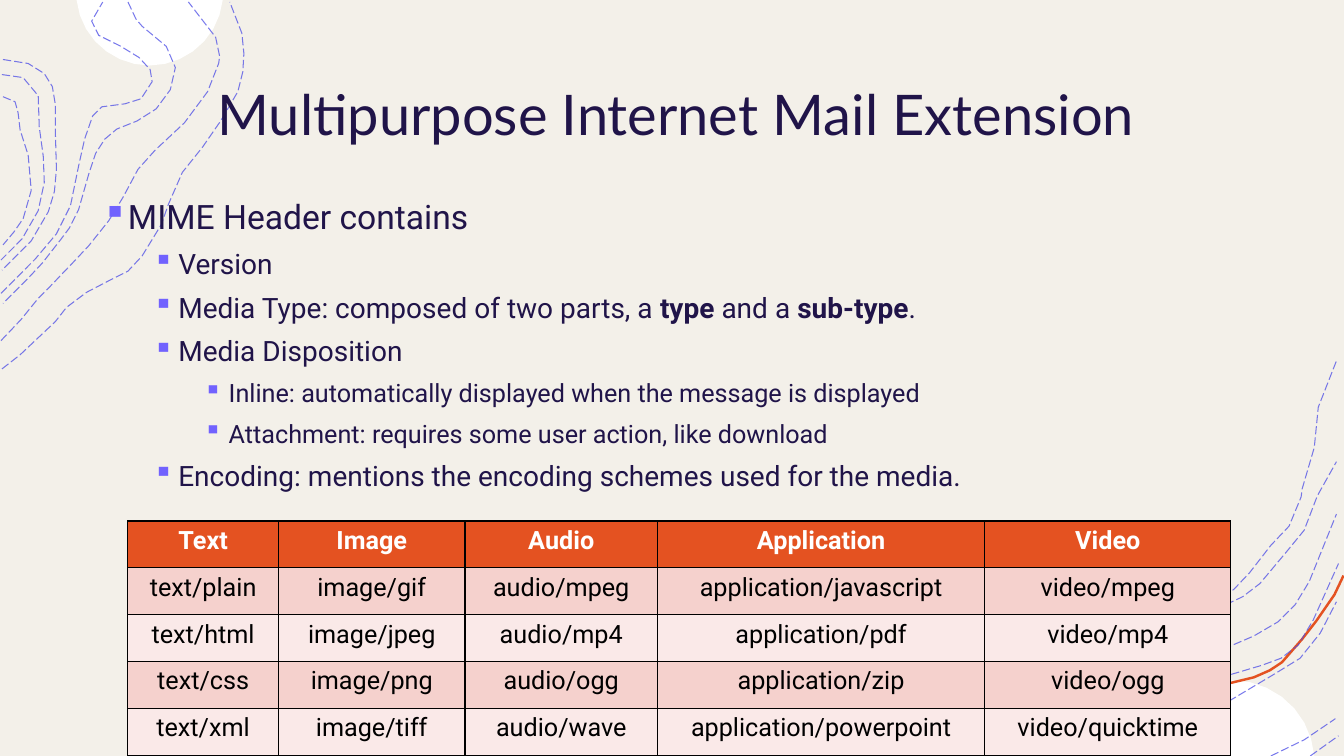
from math import asin, cos, sin

from lxml.etree import SubElement
from pptx import Presentation
from pptx.dml.color import RGBColor
from pptx.enum.dml import MSO_LINE
from pptx.enum.text import MSO_ANCHOR as Anchor, PP_ALIGN as Align
from pptx.oxml.ns import qn
from pptx.util import Cm, Pt

INK, VIOLET, CONTOUR = "201449", "7162FE", "4D4EE6"
ORANGE, WHITE, BLACK, CREAM = "E45221", "FFFFFF", "000000", "F3F0E9"
BANDS = ["F5D1CD", "FAE9E8"]

# Contour points in hundredths of an inch
LEFT_CONTOURS = [
    [(2, 366), (20, 352), (55, 319), (66, 305), (86, 290), (111, 277), (127, 269),
     (141, 254), (160, 223), (167, 203), (181, 171), (201, 146), (219, 120),
     (236, 91), (241, 71), (242, 53), (240, 33), (228, 2)],
    [(1, 338), (21, 317), (38, 296), (50, 284), (73, 260), (88, 244), (108, 219),
     (122, 196), (137, 168), (154, 149), (183, 122), (206, 91), (217, 63),
     (218, 56), (214, 37), (187, 2)],
    [(127, 2), (135, 19), (141, 26), (165, 46), (174, 67), (169, 89), (155, 108),
     (136, 120), (116, 128), (104, 138), (95, 152), (88, 173), (78, 208),
     (69, 226), (60, 238), (42, 261), (28, 276), (3, 301)],
    [(1, 291), (35, 257), (56, 232), (70, 204), (78, 165), (84, 138), (92, 115),
     (101, 106), (124, 103), (140, 98), (151, 81), (149, 69), (138, 57),
     (120, 46), (98, 35), (91, 21), (102, 2)],
    [(3, 59), (28, 63), (44, 73), (52, 86), (55, 104), (55, 132), (56, 168),
     (54, 190), (48, 210), (31, 239), (2, 268)],
    [(2, 74), (23, 77), (38, 95), (39, 126), (43, 155), (44, 181), (38, 209),
     (22, 237), (1, 258)],
    [(3, 96), (15, 101), (18, 112), (20, 129), (28, 154), (31, 189), (23, 217),
     (14, 230), (3, 243)],
]
RIGHT_CONTOURS = [
    [(942, 748), (971, 713), (1002, 680), (1056, 643), (1098, 625), (1137, 629),
     (1173, 606), (1224, 585), (1240, 568), (1261, 541), (1279, 522), (1291, 493),
     (1292, 485), (1304, 444), (1308, 404), (1326, 358)],
    [(969, 750), (1008, 694), (1049, 662), (1103, 638), (1145, 641), (1195, 610),
     (1233, 592), (1250, 579), (1276, 548), (1294, 526), (1307, 492), (1326, 458)],
    [(1300, 750), (1328, 730)],
    [(1261, 750), (1294, 734), (1325, 713)],
    [(1043, 748), (1084, 714), (1145, 699), (1188, 703), (1217, 697), (1264, 669),
     (1290, 653), (1310, 628), (1326, 597)],
    [(1019, 750), (1072, 701), (1149, 685), (1215, 671), (1252, 660), (1271, 653),
     (1288, 640), (1303, 615), (1328, 559)],
    [(999, 750), (1042, 700), (1100, 675), (1184, 658), (1216, 643), (1244, 631),
     (1268, 617), (1285, 600), (1299, 577), (1326, 510)],
]
ORANGE_WAVE = [(875, 750), (925, 726), (982, 715), (1065, 707), (1144, 695),
               (1215, 679), (1244, 672), (1260, 665), (1272, 657), (1292, 634),
               (1306, 616), (1324, 590), (1333, 571)]

BULLETS = [
    (0, ["MIME Header contains"]),
    (1, ["Version"]),
    (1, ["Media Type: composed of two parts, a ", "type", " and a ", "sub-type", "."]),
    (1, ["Media Disposition"]),
    (2, ["Inline: automatically displayed when the message is displayed"]),
    (2, ["Attachment: requires some user action, like download"]),
    (1, ["Encoding: mentions the encoding schemes used for the media."]),
]
LEVEL_SIZES = [24, 20, 18]

MEDIA_TYPES = {
    "Text": ["plain", "html", "css", "xml"],
    "Image": ["gif", "jpeg", "png", "tiff"],
    "Audio": ["mpeg", "mp4", "ogg", "wave"],
    "Application": ["javascript", "pdf", "zip", "powerpoint"],
    "Video": ["mpeg", "mp4", "ogg", "quicktime"],
}
COLUMN_WIDTHS = [3.8, 4.7, 4.85, 8.25, 6.2]


def rgb(value):
    return RGBColor.from_string(value)


def paint(fill, color):
    fill.solid()
    fill.fore_color.rgb = rgb(color)


def add_run(paragraph, text, color=INK, **formats):
    run = paragraph.add_run()
    run.text = text
    run.font.color.rgb = rgb(color)
    for attribute, value in formats.items():
        setattr(run.font, attribute, value)


def add_outline(slide, points, close):
    fine = [(x * 10, y * 10) for x, y in points]
    builder = slide.shapes.build_freeform(*fine[0], scale=Cm(2.54) / 1000)
    builder.add_line_segments(fine[1:], close=close)
    outline = builder.convert_to_shape()
    outline.shadow.inherit = False
    return outline


def add_wave(slide, points, color, width):
    wave = add_outline(slide, points, close=False)
    wave.fill.background()
    wave.line.color.rgb = rgb(color)
    wave.line.width = Pt(width)
    return wave


def add_contour(slide, points):
    contour = add_wave(slide, points, CONTOUR, 0.75)
    contour.line.dash_style = MSO_LINE.LONG_DASH
    color = next(contour.line._ln.iter(qn("a:srgbClr")))
    SubElement(color, qn("a:alpha"), val="75000")


def add_dome(slide, center_x, edge_y, half_width, depth, direction):
    """Part of a disc that is cut off by a slide edge."""
    radius = (half_width ** 2 + depth ** 2) / (2 * depth)
    center_y = edge_y + direction * (depth - radius)
    reach = asin(half_width / radius)
    angles = [reach * (i / 7 - 1) for i in range(15)]
    dome = add_outline(slide, [(center_x + radius * sin(angle),
                                center_y + direction * radius * cos(angle))
                               for angle in angles], close=True)
    paint(dome.fill, WHITE)
    dome.line.fill.background()


def add_title(slide, text):
    title = slide.shapes.title
    place = dict(left=Cm(0), top=Cm(1.02), width=Cm(34.06), height=Cm(3.68))
    for attribute, value in place.items():
        setattr(title, attribute, value)
    frame = title.text_frame
    frame.vertical_anchor = Anchor.MIDDLE
    frame.paragraphs[0].alignment = Align.CENTER
    add_run(frame.paragraphs[0], text, name="Lato", size=Pt(40))
    # Bring the title in front of the decoration
    slide.shapes._spTree.append(title._element)


def add_bullets(slide):
    frame = slide.shapes.add_textbox(Cm(2.34), Cm(4.7), Cm(29.2), Cm(8.4)).text_frame
    frame.word_wrap = True
    for index, (level, pieces) in enumerate(BULLETS):
        item = frame.paragraphs[0] if index == 0 else frame.add_paragraph()
        properties = item._p.get_or_add_pPr()
        properties.set("marL", str(Cm(0.635 + 1.27 * level)))
        properties.set("indent", str(-Cm(0.635)))
        bullet_color = SubElement(properties, qn("a:buClr"))
        SubElement(bullet_color, qn("a:srgbClr"), val=VIOLET)
        SubElement(properties, qn("a:buChar"), char="▪")
        item.level = level
        item.line_spacing = 1.1
        if index:
            item.space_before = Pt(5)
        for position, piece in enumerate(pieces):
            add_run(item, piece, name="Roboto", size=Pt(LEVEL_SIZES[level]),
                    bold=position % 2 == 1)


def add_borders(cell):
    properties = cell._tc.get_or_add_tcPr()
    for side in ["lnL", "lnR", "lnT", "lnB"]:
        border = SubElement(properties, qn(f"a:{side}"), w=str(Pt(1)))
        fill = SubElement(border, qn("a:solidFill"))
        SubElement(fill, qn("a:srgbClr"), val=BLACK)


def add_media_table(slide):
    rows = 1 + len(MEDIA_TYPES["Text"])
    table = slide.shapes.add_table(rows, len(MEDIA_TYPES), Cm(3.22), Cm(13.13),
                                   Cm(sum(COLUMN_WIDTHS)), Cm(1.18 * rows)).table
    for column, (family, subtypes) in enumerate(MEDIA_TYPES.items()):
        table.columns[column].width = Cm(COLUMN_WIDTHS[column])
        labels = [family] + [f"{family.lower()}/{subtype}" for subtype in subtypes]
        for row, label in enumerate(labels):
            header = row == 0
            cell = table.cell(row, column)
            add_borders(cell)
            paint(cell.fill, ORANGE if header else BANDS[(row - 1) % 2])
            paragraph = cell.text_frame.paragraphs[0]
            paragraph.alignment = Align.CENTER
            add_run(paragraph, label, WHITE if header else BLACK,
                    name="Roboto", size=Pt(18), bold=header)


def main():
    deck = Presentation()
    deck.slide_width, deck.slide_height = Cm(33.87), Cm(19.05)
    slide = deck.slides.add_slide(deck.slide_layouts[5])

    # Background decoration
    paint(slide.background.fill, CREAM)
    add_dome(slide, 148.5, 0, 72.5, 65, direction=1)
    add_dome(slide, 1223, 750, 81, 75, direction=-1)
    add_wave(slide, ORANGE_WAVE, ORANGE, 1.75)
    for points in LEFT_CONTOURS + RIGHT_CONTOURS:
        add_contour(slide, points)

    # Content
    add_title(slide, "Multipurpose Internet Mail Extension")
    add_bullets(slide)
    add_media_table(slide)
    deck.save("out.pptx")


if __name__ == "__main__":
    main()
